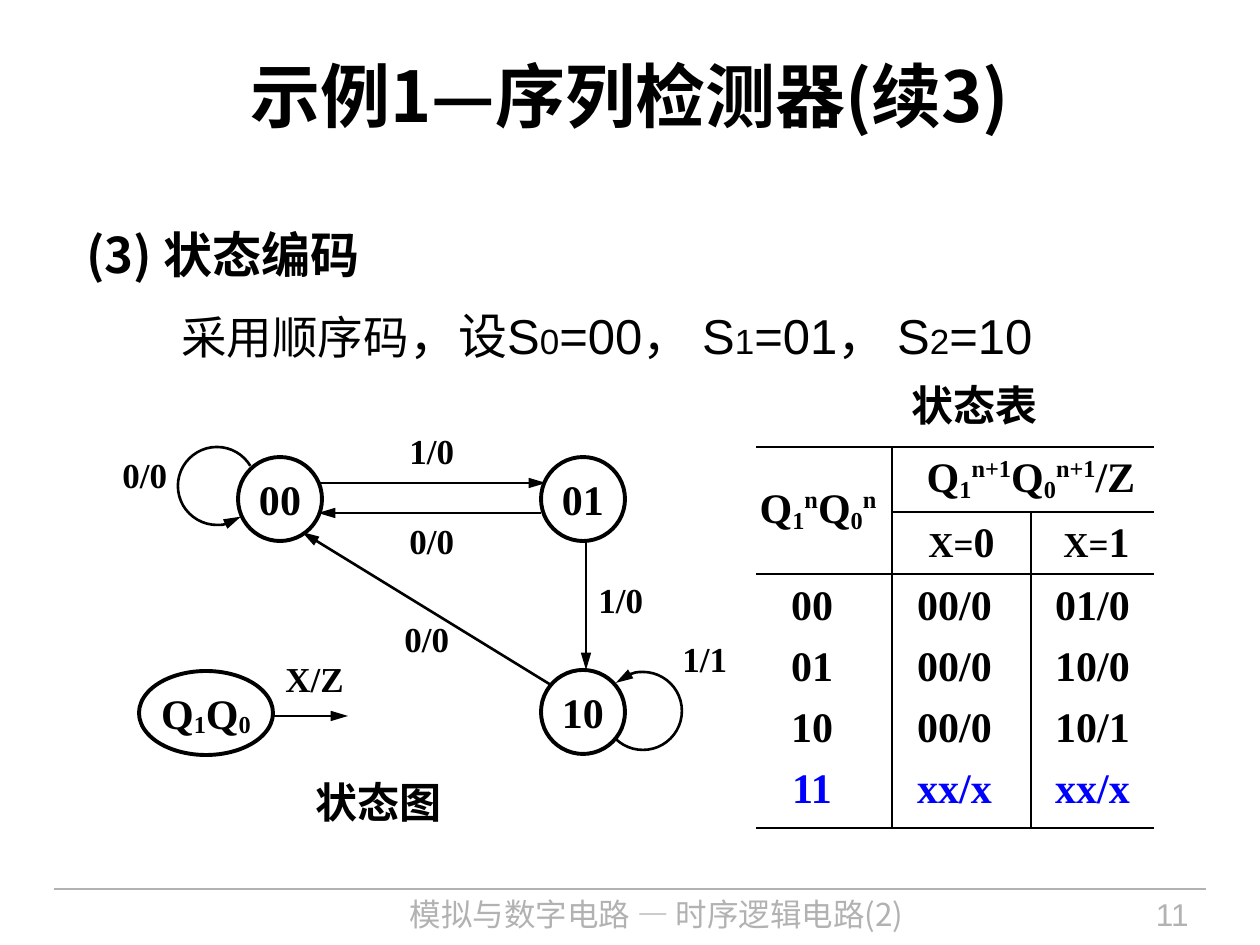
from dataclasses import dataclass

from lxml.etree import SubElement
from pptx import Presentation
from pptx.dml.color import RGBColor
from pptx.enum.shapes import MSO_CONNECTOR, MSO_SHAPE
from pptx.enum.text import MSO_ANCHOR, MSO_AUTO_SIZE, PP_ALIGN
from pptx.oxml.ns import qn
from pptx.util import Emu, Inches, Pt

PX_PER_INCH = 126


@dataclass(frozen=True)
class Theme:
    ink: str = "000000"
    accent: str = "0000FF"
    muted: str = "B2B2B2"
    sans: str = "Arial"
    cjk: str = "Noto Sans CJK SC"
    serif: str = "Times New Roman"
    title: int = 40
    heading: int = 28
    lead: int = 26
    body: int = 24
    label: int = 20
    footer: int = 18
    thin: float = 0.75
    rule: float = 1.5
    outline: float = 2.25


T = Theme()


def px(n):
    return Emu(round(n * 914400 / PX_PER_INCH))


def style_run(r, font, size, color=T.ink, bold=True, base=0):
    r.font.size = Pt(size)
    r.font.bold = bold
    r.font.color.rgb = RGBColor.from_string(color)
    r.font.name = font
    rPr = r._r.get_or_add_rPr()
    SubElement(rPr, qn("a:ea")).set("typeface", T.cjk)
    if base:
        rPr.set("baseline", str(base * 1000))


def write(p, parts, font=T.serif, align=PP_ALIGN.LEFT, **look):
    """Fill a paragraph from (text, size[, baseline percent]) parts."""
    p.alignment = align
    for text, size, *base in parts:
        r = p.add_run()
        r.text = text
        style_run(r, font, size, base=base[0] if base else 0, **look)


def add_text(s, box, parts, **look):
    tf = s.shapes.add_textbox(*map(px, box)).text_frame
    tf.word_wrap = True
    tf.auto_size = MSO_AUTO_SIZE.SHAPE_TO_FIT_TEXT
    write(tf.paragraphs[0], parts, **look)


def add_arrowhead(line, end):
    SubElement(line._get_or_add_ln(), qn(f"a:{end}"), type="triangle", w="med", len="lg")


def add_line(s, start, end, arrow=False, color=T.ink, width=T.rule):
    c = s.shapes.add_connector(MSO_CONNECTOR.STRAIGHT, *map(px, start + end))
    c.line.color.rgb = RGBColor.from_string(color)
    c.line.width = Pt(width)
    if arrow:
        add_arrowhead(c.line, "tailEnd")
    SubElement(c._element.spPr, qn("a:effectLst"))


def add_outline(s, kind, box, width):
    sp = s.shapes.add_shape(kind, *map(px, box))
    sp.shadow.inherit = False
    sp.fill.background()
    sp.line.color.rgb = RGBColor.from_string(T.ink)
    sp.line.width = Pt(width)
    return sp


def add_state(s, box, parts):
    sp = add_outline(s, MSO_SHAPE.OVAL, box, T.outline)
    tf = sp.text_frame
    tf.word_wrap = False
    tf.margin_left = tf.margin_right = tf.margin_top = tf.margin_bottom = 0
    tf.vertical_anchor = MSO_ANCHOR.MIDDLE
    write(tf.paragraphs[0], parts, align=PP_ALIGN.CENTER)


def add_loop(s, cx, cy, radius, tip_deg, tail_deg):
    """Clockwise arc with its arrowhead at tip_deg."""
    box = (cx - radius, cy - radius, 2 * radius, 2 * radius)
    sp = add_outline(s, MSO_SHAPE.ARC, box, T.rule)
    sp.adjustments[0] = tip_deg * 0.6
    sp.adjustments[1] = tail_deg * 0.6
    add_arrowhead(sp.line, "headEnd")


def set_borders(cell, sides):
    tcPr = cell._tc.get_or_add_tcPr()
    for tag, shown in sides.items():
        ln = SubElement(tcPr, qn(f"a:{tag}"), w=str(Pt(T.rule)))
        if shown:
            fill = SubElement(ln, qn("a:solidFill"))
            SubElement(fill, qn("a:srgbClr")).set("val", T.ink)
        else:
            SubElement(ln, qn("a:noFill"))


def rule_above(row, col):
    return row in (0, 2, 6) or (row == 1 and col > 0)


def rule_left(row, col):
    return col == 1 or (col == 2 and row > 0)


def state_name(sup):
    return [part for digit in "10"
            for part in (("Q", T.body), (digit, T.body, -15), (sup, T.body, 35))]


def add_state_table(s):
    widths = (136, 139, 123)
    heights = (65, 62, 61, 61, 61, 71)
    frame = s.shapes.add_table(len(heights), len(widths), px(756), px(447),
                               px(sum(widths)), px(sum(heights)))
    table = frame.table
    table.first_row = table.horz_banding = False
    for column, w in zip(table.columns, widths):
        column.width = px(w)
    for row, h in zip(table.rows, heights):
        row.height = px(h)
    for r in range(len(heights)):
        for c in range(len(widths)):
            cell = table.cell(r, c)
            set_borders(cell, {"lnL": rule_left(r, c), "lnR": rule_left(r, c + 1),
                               "lnT": rule_above(r, c), "lnB": rule_above(r + 1, c)})
            cell.fill.background()
            cell.margin_left = cell.margin_right = cell.margin_bottom = 0
            cell.margin_top = 0 if r < 2 else px(9)
            cell.vertical_anchor = MSO_ANCHOR.MIDDLE if r < 2 else MSO_ANCHOR.TOP

    # Header: current state, next state / output, input value
    table.cell(0, 0).merge(table.cell(1, 0))
    table.cell(0, 1).merge(table.cell(0, 2))
    table.cell(0, 0).margin_right = px(12)
    table.cell(0, 1).margin_left = px(16)
    table.cell(1, 2).margin_left = px(8)
    header = {(0, 0): state_name("n"),
              (0, 1): state_name("n+1") + [("/Z", T.body)],
              (1, 1): [("X=", T.label), ("0", T.body)],
              (1, 2): [("X=", T.label), ("1", T.body)]}
    for (r, c), parts in header.items():
        write(table.cell(r, c).text_frame.paragraphs[0], parts, align=PP_ALIGN.CENTER)

    # Body: the unused state is highlighted
    body = (("00", "00/0", "01/0"), ("01", "00/0", "10/0"),
            ("10", "00/0", "10/1"), ("11", "xx/x", "xx/x"))
    for r, values in enumerate(body, start=2):
        for c, (value, shift) in enumerate(zip(values, (24, 14, 0))):
            cell = table.cell(r, c)
            cell.margin_right = px(shift)
            write(cell.text_frame.paragraphs[0], [(value, T.body)], align=PP_ALIGN.CENTER,
                  color=T.accent if value in body[-1] else T.ink)


def add_state_diagram(s):
    # Transitions
    for start, end in (((318, 483), (546, 483)), ((541, 513), (318, 513)),
                       ((586, 542), (586, 670)), ((551, 685), (302, 532)),
                       ((272, 716), (348, 716))):
        add_line(s, start, end, arrow=True)
    add_loop(s, 217, 486, 39, 52, 329)
    add_loop(s, 643, 711, 39, 226, 133)

    # States and legend
    for x, y, code in ((238, 457, "00"), (541, 457, "01"), (541, 670, "10")):
        add_state(s, (x, y, 84, 84), [(code, T.body)])
    add_state(s, (139, 671, 134, 84), [("Q", T.body), ("1", T.body, -10),
                                       ("Q", T.body), ("0", T.body, -10)])

    # Input / output labels, wide enough for one line
    for x, y, text in ((397, 423, "1/0"), (586, 572, "1/0"), (392, 611, "0/0"),
                       (397, 513, "0/0"), (110, 447, "0/0"), (670, 631, "1/1"),
                       (273, 651, "X/Z")):
        add_text(s, (x, y, 96, 55), [(text, T.label)])


def add_footer(s):
    add_line(s, (54, 889), (1206, 889), color=T.muted, width=T.thin)
    add_text(s, (302, 889, 709, 55), [("模拟与数字电路 — 时序逻辑电路(2)", T.footer)],
             font=T.cjk, align=PP_ALIGN.CENTER, color=T.muted, bold=False)
    add_text(s, (1033, 889, 168, 55), [("11", T.footer)],
             font=T.sans, align=PP_ALIGN.RIGHT, color=T.muted, bold=False)


def main():
    prs = Presentation()
    prs.slide_width, prs.slide_height = Inches(10), Inches(7.5)
    s = prs.slides.add_slide(prs.slide_layouts[5])

    # Title
    title = s.shapes.title
    title.left, title.top, title.width, title.height = map(px, (63, 21, 1134, 147))
    title.text_frame.text = "示例1—序列检测器(续3)"
    title.text_frame.vertical_anchor = MSO_ANCHOR.MIDDLE
    p = title.text_frame.paragraphs[0]
    p.alignment = PP_ALIGN.CENTER
    style_run(p.runs[0], T.cjk, T.title)

    # Step heading and chosen code
    add_text(s, (74, 218, 546, 72), [("(3) ", T.heading), ("状态编码", T.heading)],
             font=T.cjk)
    add_text(s, (169, 299, 978, 72),
             [("采用顺序码", T.lead), ("，设S", T.heading), ("0", T.label),
              ("=00， S", T.heading), ("1", T.label),
              ("=01， S", T.heading), ("2", T.label), ("=10", T.heading)],
             font=T.sans, bold=False)

    # State diagram and state table with captions
    add_state_diagram(s)
    add_state_table(s)
    for x, y, text in ((303, 770, "状态图"), (899, 373, "状态表")):
        add_text(s, (x, y, 160, 63), [(text, T.body)], font=T.sans)

    add_footer(s)
    prs.save("out.pptx")


if __name__ == "__main__":
    main()
